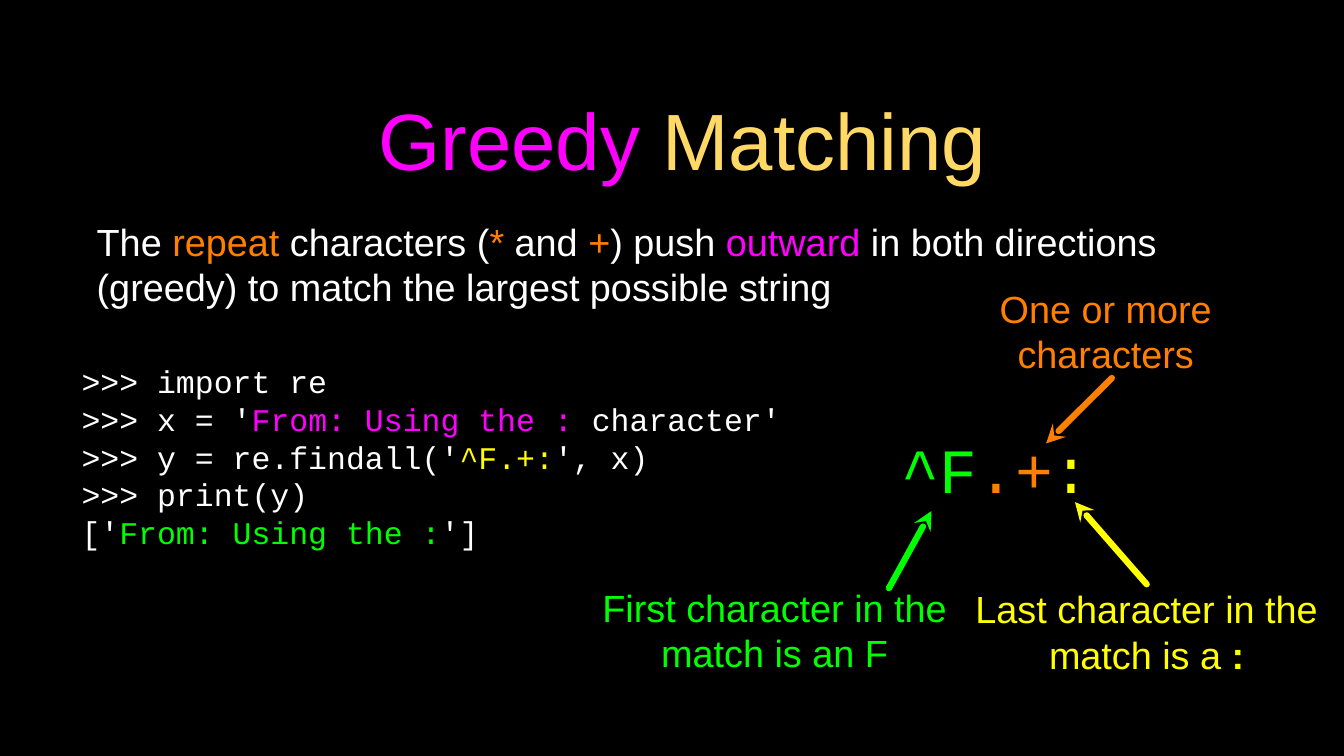
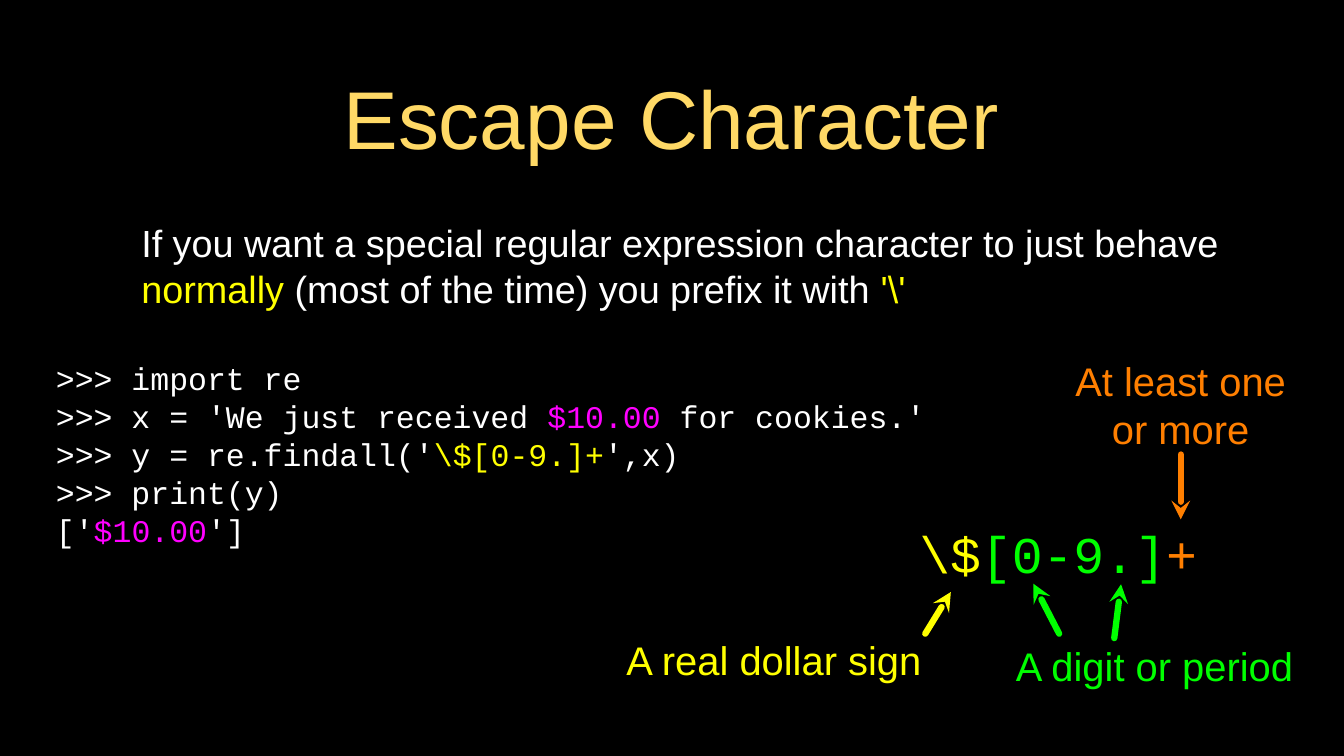
from pptx import Presentation
from pptx import util as u
from pptx.dml import color as col
from pptx.enum import shapes, text
from pptx.oxml import ns
from lxml import etree

BLACK = col.RGBColor(0x00, 0x00, 0x00)
WHITE = col.RGBColor(0xFF, 0xFF, 0xFF)
GOLD = col.RGBColor(0xFF, 0xD9, 0x66)
PINK = col.RGBColor(0xFF, 0x00, 0xFF)
ORANGE = col.RGBColor(0xFF, 0x7F, 0x00)
GREEN = col.RGBColor(0x00, 0xFF, 0x00)
YELLOW = col.RGBColor(0xFF, 0xFF, 0x00)

SANS = "Arial"
MONO = "Courier New"
MIDDLE = text.MSO_ANCHOR.MIDDLE
CENTER = text.PP_ALIGN.CENTER
LEFT = text.PP_ALIGN.LEFT


def write(slide, box, lines, size, font=SANS, align=LEFT, anchor=MIDDLE, inset=0):
    shape = slide.shapes.add_textbox(*map(u.Cm, box))
    frame = shape.text_frame
    frame.word_wrap = True
    frame.vertical_anchor = anchor
    frame.margin_left = frame.margin_right = u.Cm(inset)
    frame.margin_top = frame.margin_bottom = u.Cm(inset)
    for row, parts in enumerate(lines):
        para = frame.paragraphs[0] if row == 0 else frame.add_paragraph()
        para.alignment = align
        for words, tint in parts:
            run = para.add_run()
            run.text = words
            run.font.size = u.Pt(size)
            run.font.name = font
            run.font.color.rgb = tint
    return shape


def title(slide, box, parts, size, inset):
    write(slide, box, [parts], size, align=CENTER, inset=inset)


def body(slide, box, parts, inset, indent):
    shape = write(slide, box, [parts], 36, anchor=text.MSO_ANCHOR.TOP, inset=inset)
    shape.text_frame.margin_left = u.Cm(inset + indent)
    shape.text_frame.paragraphs[0].space_before = u.Pt(10)


def code(slide, box, value, regex, result):
    write(slide, box, [
        [(">>> import re", WHITE)],
        [(">>> x = '", WHITE), *value, ("'", WHITE)],
        [(">>> y = re.findall('", WHITE), (regex[0], YELLOW), (regex[1], WHITE)],
        [(">>> print(y)", WHITE)],
        [("['", WHITE), result, ("']", WHITE)],
    ], 30, MONO)


def arrow(slide, start, reach, tint):
    x, y = start
    dx, dy = reach
    line = slide.shapes.add_connector(
        shapes.MSO_CONNECTOR.STRAIGHT, *map(u.Cm, (x, y, x + dx, y + dy)))
    line.line.color.rgb = tint
    line.line.width = u.Pt(6)
    ln = line.line._get_or_add_ln()
    ln.set("cap", "rnd")
    etree.SubElement(ln, ns.qn("a:tailEnd")).set("type", "stealth")
    etree.SubElement(line._element.spPr, ns.qn("a:effectLst"))
    return line


def note(slide, box, words, tint, size, arrows):
    left, top, width, height = box
    label = write(slide, box, [[(words, tint)]], size, align=CENTER)
    sides = {0: (width / 2, 0), 2: (width / 2, height)}
    for start, reach in arrows:
        dx, dy = sides.get(start, start)
        line = arrow(slide, (left + dx, top + dy), reach, tint)
        if start in sides:
            line.begin_connect(label, start)
    return label


def blank(deck):
    slide = deck.slides.add_slide(deck.slide_layouts[6])
    slide.background.fill.solid()
    slide.background.fill.fore_color.rgb = BLACK
    return slide


def greedy(deck):
    slide = blank(deck)
    title(slide, (3.2, 2.26, 38.71, 4.8),
          [(" ", GOLD), ("Greedy", PINK), (" Matching", GOLD)], 76, 0.1)
    body(slide, (2.11, 7.24, 38.71, 4.34), [
        ("The ", WHITE), ("repeat", ORANGE), (" characters (", WHITE),
        ("*", ORANGE), (" and ", WHITE), ("+", ORANGE), (") push ", WHITE),
        ("outward", PINK),
        (" in both directions (greedy) to match the largest possible string", WHITE),
    ], 0.1, 1.04)
    match = "From: Using the :"
    code(slide, (2.74, 11.58, 27.86, 7.52),
         [(match, PINK), (" character", WHITE)], ("^F.+:", "', x)"), (match, GREEN))
    write(slide, (30.3, 14.33, 7.19, 2.84),
          [[("^F", GREEN), (".+", ORANGE), (":", YELLOW)]], 60, MONO)
    note(slide, (32.66, 9.53, 8.99, 3.18), "One or more characters", ORANGE, 36,
         [((4.7, 3.17), (-2.21, 2.2))])
    note(slide, (20.24, 19.58, 11.58, 3.18), "First character in the match is an F",
         GREEN, 36, [((9.63, 0.18), (1.43, -2.59))])
    last = note(slide, (32.74, 19.63, 11.58, 3.18), "Last character in the match is a ",
                YELLOW, 36, [(0, (-2.41, -2.76))])
    colon = last.text_frame.paragraphs[0].add_run()
    colon.text = ":"
    colon.font.size = u.Pt(36)
    colon.font.name = SANS
    colon.font.bold = True
    colon.font.color.rgb = YELLOW


def escape(deck):
    slide = blank(deck)
    title(slide, (3.2, 1.8, 38.71, 4.22), [("Escape Character", GOLD)], 78, 0.15)
    body(slide, (3.2, 7.24, 38.71, 15.85), [
        ("If you want a special regular expression character to just behave ", WHITE),
        ("normally", YELLOW), (" (most of the time) you prefix it with ", WHITE),
        ("'\\'", YELLOW),
    ], 0.15, 1.4)
    price = ("$10.00", PINK)
    code(slide, (1.88, 11.91, 30.07, 6.68),
         [("We just received ", WHITE), price, (" for cookies.", WHITE)],
         ("\\$[0-9.]+", "',x)"), price)
    write(slide, (30.89, 17.45, 9.37, 2.26),
          [[("\\$", YELLOW), ("[0-9.]", GREEN), ("+", ORANGE)]], 49, MONO)
    note(slide, (33.48, 21.44, 10.64, 1.83), "A digit or period", GREEN, 38,
         [((2.11, -0.15), (-0.87, -1.68)), ((3.96, 0), (0.23, -1.81))])
    note(slide, (20.42, 21.26, 11.18, 1.83), "A real dollar sign", YELLOW, 38,
         [((10.67, 0.03), (0.86, -1.4))])
    note(slide, (35.74, 11.89, 7.87, 3.38), "At least one or more", ORANGE, 38,
         [(2, (0, 2.18))])


def main():
    deck = Presentation()
    deck.slide_width = u.Cm(45.16)
    deck.slide_height = u.Cm(25.4)
    greedy(deck)
    escape(deck)
    deck.save("out.pptx")


if __name__ == "__main__":
    main()
